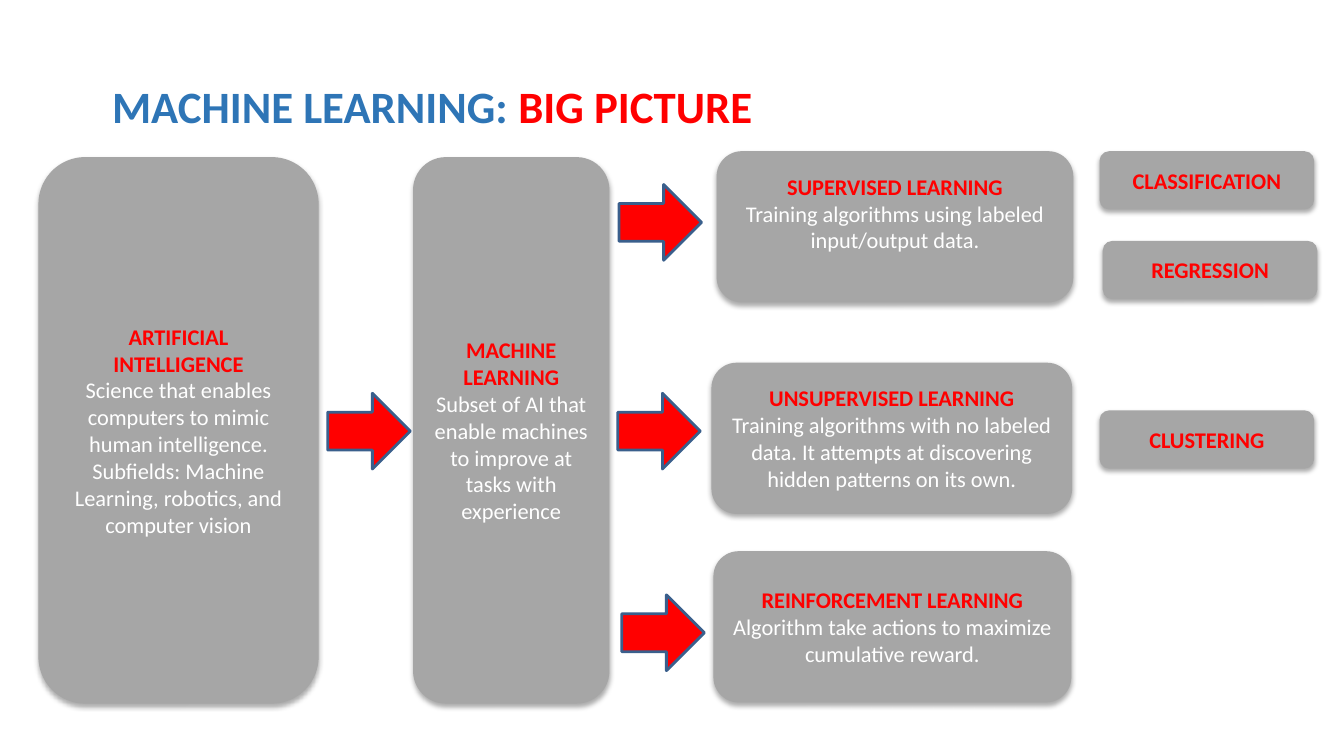
"""Build the Machine Learning big picture slide."""
from lxml.etree import SubElement
from pptx import Presentation
from pptx.dml.color import RGBColor
from pptx.enum.shapes import MSO_SHAPE as Preset
from pptx.enum.text import MSO_ANCHOR as Anchor, PP_ALIGN as Align
from pptx.oxml.ns import qn
from pptx.util import Cm, Pt

BLUE, RED, GRAY, WHITE, OUTLINE = "2E75B6", "FF0000", "A6A6A6", "FFFFFF", "3A5F8C"
FONT = "Calibri"
COLUMN_TOP, COLUMN_HEIGHT = 3.96, 13.77
BRANCH_HEIGHT = 3.81
TASK_SIZE = (5.41, 1.47)
ARROW_SIZE = (2.08, 1.91)
BOTTOM_INSET, RAISED_INSET = 0.13, 0.81

TITLE = [("MACHINE LEARNING: ", BLUE), ("BIG PICTURE", RED)]
COLUMNS = [
    (0.97, 7.06, "ARTIFICIAL INTELLIGENCE",
     "Science that enables computers to mimic human intelligence. "
     "Subfields: Machine Learning, robotics, and computer vision"),
    (10.41, 4.95, "MACHINE LEARNING",
     "Subset of AI that enable machines to improve at tasks with experience"),
]
BRANCHES = [
    (18.06, 3.81, 8.99, "SUPERVISED LEARNING",
     "Training algorithms using labeled input/output data.", RAISED_INSET),
    (17.93, 9.14, 9.09, "UNSUPERVISED LEARNING",
     "Training algorithms with no labeled data. "
     "It attempts at discovering hidden patterns on its own.", BOTTOM_INSET),
    (17.98, 13.89, 9.02, "REINFORCEMENT LEARNING",
     "Algorithm take actions to maximize cumulative reward.", BOTTOM_INSET),
]
TASKS = [
    (27.71, 3.81, "CLASSIFICATION"),
    (27.79, 6.07, "REGRESSION"),
    (27.71, 10.34, "CLUSTERING"),
]
ARROWS = [(8.26, 9.91), (15.6, 4.65), (15.57, 9.91), (15.67, 14.99)]


def color(value):
    return RGBColor.from_string(value)


def add_run(paragraph, text, size, value, bold):
    run = paragraph.add_run()
    run.text = text
    run.font.name, run.font.size, run.font.bold = FONT, Pt(size), bold
    run.font.color.rgb = color(value)


def add_filled(preset, box, fill):
    shape = slide.shapes.add_shape(preset, *map(Cm, box))
    shape.fill.solid()
    shape.fill.fore_color.rgb = color(fill)
    shape.shadow.inherit = False
    return shape


def add_shadow(shape):
    effects = shape._element.spPr.find(qn("a:effectLst"))
    shadow = SubElement(effects, qn("a:outerShdw"), blurRad=str(Pt(3.5)),
                        dist=str(Pt(2.2)), dir="5400000", rotWithShape="0")
    black = SubElement(shadow, qn("a:srgbClr"), val="000000")
    SubElement(black, qn("a:alpha"), val="32000")


def add_card(box, heading, description="", bottom=BOTTOM_INSET):
    card = add_filled(Preset.ROUNDED_RECTANGLE, box, GRAY)
    card.line.fill.background()
    add_shadow(card)
    frame = card.text_frame
    frame.word_wrap, frame.vertical_anchor = True, Anchor.MIDDLE
    frame.margin_bottom = Cm(bottom)
    paragraph = frame.paragraphs[0]
    paragraph.alignment = Align.CENTER
    add_run(paragraph, heading, 16, RED, True)
    if description:
        paragraph = frame.add_paragraph()
        paragraph.alignment = Align.CENTER
        add_run(paragraph, description, 16, WHITE, False)


def add_arrow(left, top):
    arrow = add_filled(Preset.RIGHT_ARROW, (left, top, *ARROW_SIZE), RED)
    arrow.line.color.rgb = color(OUTLINE)
    arrow.line.width = Pt(2)


def add_title():
    title = slide.shapes.title
    title.left, title.top, title.width, title.height = map(Cm, (2.57, 0.91, 24.56, 3.68))
    title.text_frame.vertical_anchor = Anchor.MIDDLE
    paragraph = title.text_frame.paragraphs[0]
    paragraph.alignment, paragraph.line_spacing = Align.LEFT, 0.9
    for text, value in TITLE:
        add_run(paragraph, text, 32, value, True)


presentation = Presentation()
presentation.slide_width, presentation.slide_height = Cm(33.87), Cm(19.05)
slide = presentation.slides.add_slide(presentation.slide_layouts[5])
add_title()
for left, width, heading, description in COLUMNS:
    add_card((left, COLUMN_TOP, width, COLUMN_HEIGHT), heading, description)
for left, top, width, heading, description, bottom in BRANCHES:
    add_card((left, top, width, BRANCH_HEIGHT), heading, description, bottom)
for left, top, heading in TASKS:
    add_card((left, top, *TASK_SIZE), heading)
for left, top in ARROWS:
    add_arrow(left, top)
presentation.save("out.pptx")
